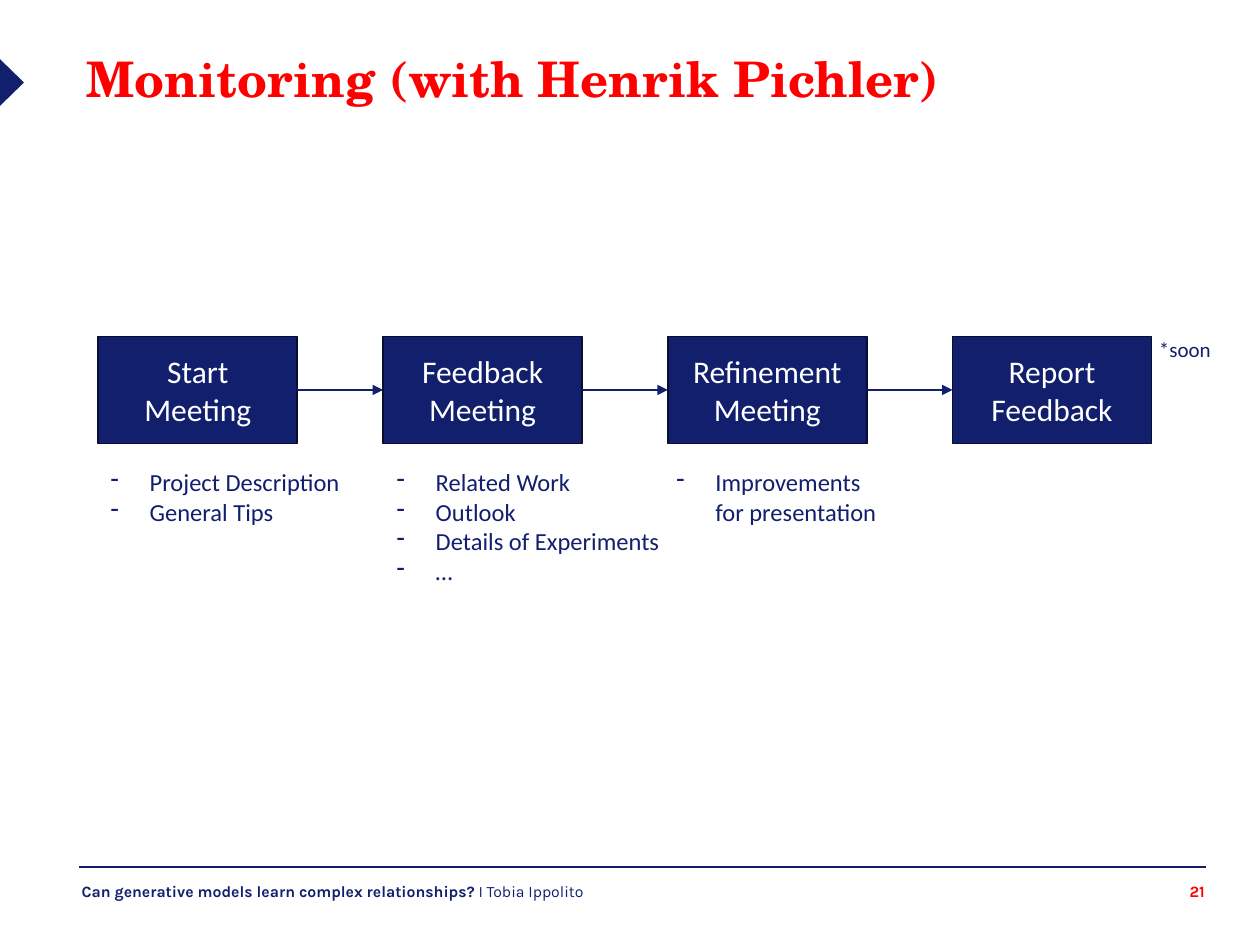
from lxml.etree import SubElement
from pptx import Presentation
from pptx.dml.color import RGBColor
from pptx.enum.shapes import MSO_CONNECTOR as Connector, MSO_SHAPE as Shape
from pptx.enum.text import MSO_ANCHOR as Anchor, PP_ALIGN as Align
from pptx.oxml.ns import qn
from pptx.util import Inches, Pt

NAVY, DARK, RED, WHITE = "111F6D", "070E30", "FF0000", "FFFFFF"
STEPS = [
    ("Start Meeting", 0.78, 2.04, ["Project Description", "General Tips"]),
    ("Feedback Meeting", 3.05, 2.31,
     ["Related Work", "Outlook", "Details of Experiments", "…"]),
    ("Refinement Meeting", 5.27, 1.84, ["Improvements\vfor presentation"]),
    ("Report Feedback", None, None, []),
]


def color(value):
    """Turn a hex string into a colour."""
    return RGBColor.from_string(value)


def style(para, size, fill, name="Calibri", bold=False):
    """Set the font of a paragraph."""
    font = para.font
    font.size, font.name, font.bold = Pt(size), name, bold
    font.color.rgb = color(fill)


def add_text(page, left, top, width, height, text="", wrap=True):
    """Add a text box and return its frame."""
    box = page.shapes.add_textbox(
        Inches(left), Inches(top), Inches(width), Inches(height))
    frame = box.text_frame
    frame.word_wrap = wrap
    frame.text = text
    return frame


def add_block(page, kind, left, top, width, height):
    """Add a navy shape without outline or shadow."""
    block = page.shapes.add_shape(
        kind, Inches(left), Inches(top), Inches(width), Inches(height))
    block.shadow.inherit = False
    block.fill.solid()
    block.fill.fore_color.rgb = color(NAVY)
    block.line.fill.background()
    return block


def add_line(page, start, end, weight):
    """Add a straight navy line between two points in inches."""
    line = page.shapes.add_connector(
        Connector.STRAIGHT, *(Inches(value) for value in (*start, *end)))
    line.line.color.rgb = color(NAVY)
    line.line.width = Pt(weight)
    SubElement(line._element.spPr, qn("a:effectLst"))
    return line


def add_arrow(page, source, target):
    """Join the facing sides of two boxes with an arrow."""
    arrow = add_line(page, (0, 0), (1, 1), 1)
    arrow.begin_connect(source, 3)
    arrow.end_connect(target, 1)
    SubElement(arrow.line._get_or_add_ln(), qn("a:tailEnd"), type="triangle")


def add_title(page, left, top, width, height):
    """Place the slide title and its edge marker."""
    title = page.shapes.title
    title.left, title.top = Inches(left), Inches(top)
    title.width, title.height = Inches(width), Inches(height)
    frame = title.text_frame
    frame.text = "Monitoring (with Henrik Pichler)"
    frame.vertical_anchor = Anchor.TOP
    para = frame.paragraphs[0]
    para.alignment = Align.LEFT
    para.line_spacing = 0.9
    style(para, 28, RED, "TeX Gyre Schola", True)
    marker = add_block(page, Shape.ISOSCELES_TRIANGLE, -0.09, 0.56, 0.37, 0.19)
    marker.rotation = 90


def add_step(page, label, left, top, width, height):
    """Add one labelled box of the process."""
    step = add_block(page, Shape.RECTANGLE, left, top, width, height)
    step.line.color.rgb = color(DARK)
    step.line.width = Pt(1)
    frame = step.text_frame
    frame.text = label
    frame.word_wrap = True
    frame.vertical_anchor = Anchor.MIDDLE
    para = frame.paragraphs[0]
    para.alignment = Align.CENTER
    style(para, 18, WHITE)
    return step


def add_notes(page, items, left, top, width):
    """Add a dashed list below a step."""
    frame = add_text(page, left, top, width, 0.1 + 0.235 * len(items),
                     "\n".join(items), wrap=False)
    for para in frame.paragraphs:
        props = para._p.get_or_add_pPr()
        props.set("marL", str(Inches(0.31)))
        props.set("indent", str(Inches(-0.31)))
        SubElement(props, qn("a:buFontTx"))
        SubElement(props, qn("a:buChar"), char="-")
        style(para, 14, NAVY)


def add_process(page, left, top, width, height, pitch):
    """Lay out the steps in a row with their arrows and lists."""
    previous = None
    for index, (label, notes_left, notes_width, items) in enumerate(STEPS):
        step = add_step(page, label, left + index * pitch, top, width, height)
        if previous:
            add_arrow(page, previous, step)
        if items:
            add_notes(page, items, notes_left, top + 0.99, notes_width)
        previous = step
    soon = add_text(page, 9.1, top - 0.05, 0.9, 0.3, "*soon")
    style(soon.paragraphs[0], 12, NAVY)


def add_footer(page, left, top, width):
    """Add the rule, the talk's name and the page number."""
    add_line(page, (left, top), (left + width, top), 0.75)
    para = add_text(page, 0.55, top + 0.07, 6.1, 0.4).paragraphs[0]
    style(para, 9, NAVY, "Karla")
    span = para.add_run()
    span.text = "Can generative models learn complex relationships? "
    span.font.bold = True
    para.add_run().text = "I Tobia Ippolito"
    number = add_text(page, 7.41, top + 0.07, 2.25, 0.4, "21").paragraphs[0]
    number.alignment = Align.RIGHT
    style(number, 9, RED, "Karla", True)


def main():
    """Build and save the deck."""
    deck = Presentation()
    deck.slide_width, deck.slide_height = Inches(10), Inches(7.5)
    page = deck.slides.add_slide(deck.slide_layouts[5])
    add_title(page, 0.59, 0.39, 8.43, 0.85)
    add_process(page, 0.78, 2.67, 1.58, 0.85, pitch=2.26)
    add_footer(page, 0.63, 6.88, 8.94)
    deck.save("out.pptx")


if __name__ == "__main__":
    main()
